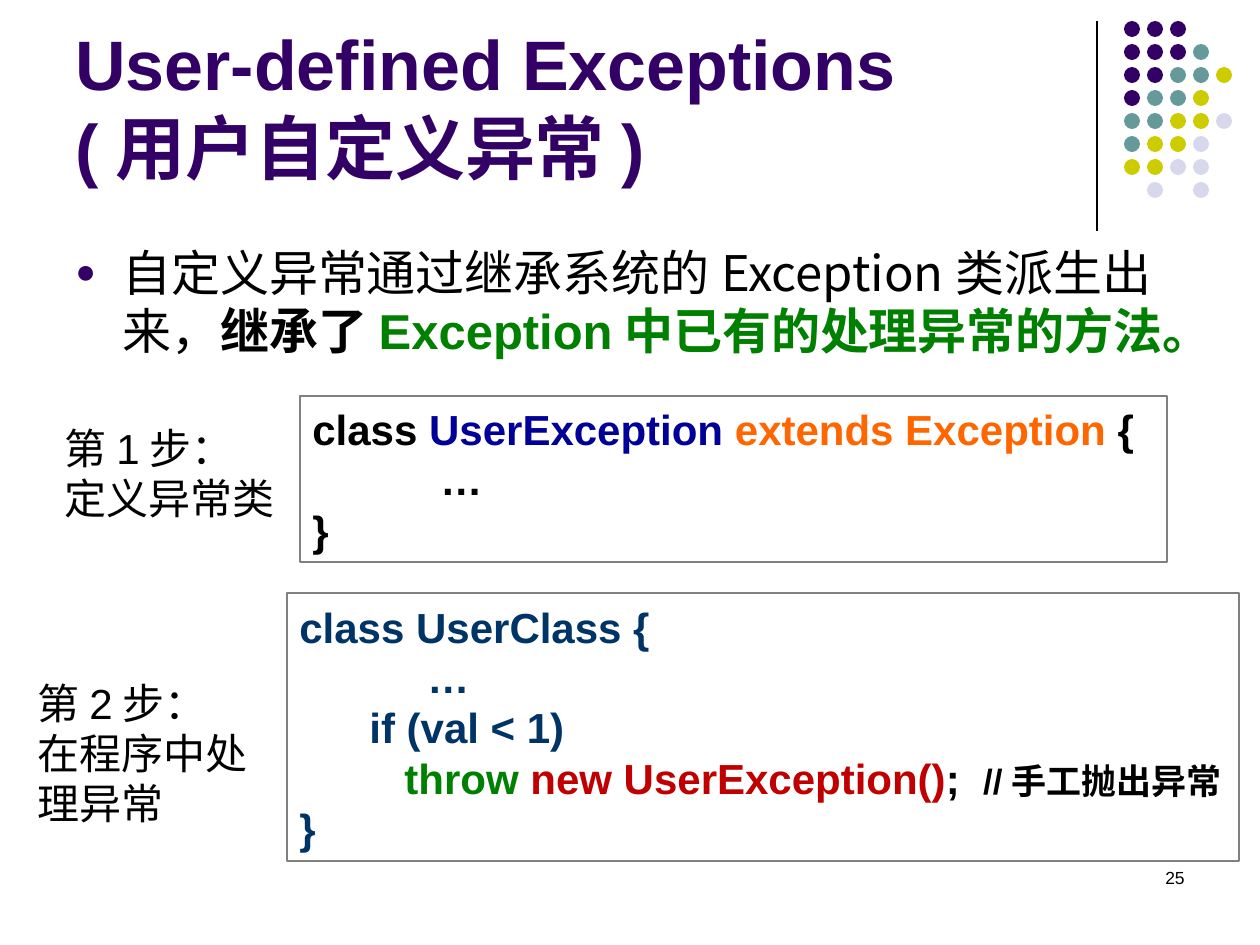
import pptx
import pptx.util
import pptx.dml.color
import pptx.enum.shapes
import pptx.enum.text
from lxml import etree

RGB = pptx.dml.color.RGBColor
BLACK = RGB(0x00, 0x00, 0x00)
GREY = RGB(0x80, 0x80, 0x80)
PURPLE = RGB(0x33, 0x00, 0x66)
TEAL = RGB(0x66, 0x99, 0x99)
OLIVE = RGB(0xCC, 0xCC, 0x00)
LAVENDER = RGB(0xD8, 0xD8, 0xEC)
GREEN = RGB(0x00, 0x80, 0x00)
NAVY = RGB(0x00, 0x33, 0x66)
BLUE = RGB(0x00, 0x00, 0x99)
ORANGE = RGB(0xFF, 0x66, 0x00)
RED = RGB(0xC0, 0x00, 0x00)

SANS = "Arial"
CJK = "Noto Sans CJK JP"
DOT_ROWS = ["PPP", "PPPT", "PPTTO", "PTTO", "TTOOL", "TOOL", "OOLL", " L L"]
DOT_COLORS = {"P": PURPLE, "T": TEAL, "O": OLIVE, "L": LAVENDER}


def px(n):
    """Turn pixels into EMU."""
    return pptx.util.Emu(n * 914400 // 126)


def add_child(parent, tag, **attrs):
    """Append a DrawingML element with the given attributes."""
    child = etree.SubElement(parent, pptx.oxml.ns.qn(tag))
    for name, value in attrs.items():
        child.set(name, value)
    return child


def set_indent(p, left, first=0):
    """Set the left margin and first-line indent of a paragraph."""
    pPr = p._p.get_or_add_pPr()
    pPr.set("marL", str(px(left)))
    pPr.set("indent", str(px(first)))


def set_bullet(p, color, percent):
    """Give a paragraph a round bullet."""
    pPr = p._p.get_or_add_pPr()
    clr = add_child(pPr, "a:buClr")
    add_child(clr, "a:srgbClr", val=str(color))
    add_child(pPr, "a:buSzPct", val=str(percent * 1000))
    add_child(pPr, "a:buFont", typeface=SANS)
    add_child(pPr, "a:buChar", char="●")


def style_font(font, size, color=None, bold=None, name=SANS):
    """Set the common properties of a font."""
    font.name = name
    font.size = pptx.util.Pt(size)
    font.bold = bold
    if color is not None:
        font.color.rgb = color


def add_text(s, box, lines, size, wrap=True):
    """Add a plain text box with one paragraph per line."""
    tf = s.shapes.add_textbox(*map(px, box)).text_frame
    tf.word_wrap = wrap
    for i, line in enumerate(lines):
        p = tf.add_paragraph() if i else tf.paragraphs[0]
        style_font(p.font, size, BLACK)
        p.add_run().text = line
    return tf


def add_title(s, box, lines):
    """Add the bottom-anchored title, broken into lines."""
    tf = s.shapes.add_textbox(*map(px, box)).text_frame
    tf.word_wrap = True
    tf.vertical_anchor = pptx.enum.text.MSO_ANCHOR.BOTTOM
    p = tf.paragraphs[0]
    style_font(p.font, 40, PURPLE, True)
    for i, line in enumerate(lines):
        if i:
            p.add_line_break()
        p.add_run().text = line


def add_body(s, box, runs):
    """Add the bulleted statement from (text, font, colour, bold) runs."""
    tf = s.shapes.add_textbox(*map(px, box)).text_frame
    tf.word_wrap = True
    p = tf.paragraphs[0]
    p.space_before = pptx.util.Pt(5.6)
    set_indent(p, 47, -47)
    set_bullet(p, PURPLE, 70)
    for text, name, color, bold in runs:
        r = p.add_run()
        r.text = text
        style_font(r.font, 28, color, bold, name)


def add_code(s, box, lines):
    """Add a framed listing from (indent, [(text, colour, size)]) lines."""
    sp = s.shapes.add_shape(pptx.enum.shapes.MSO_SHAPE.RECTANGLE, *map(px, box))
    sp.shadow.inherit = False
    sp.fill.background()
    sp.line.color.rgb = GREY
    sp.line.width = pptx.util.Pt(0.75)
    tf = sp.text_frame
    tf.word_wrap = True
    for i, (indent, runs) in enumerate(lines):
        p = tf.add_paragraph() if i else tf.paragraphs[0]
        p.alignment = pptx.enum.text.PP_ALIGN.LEFT
        set_indent(p, indent)
        for text, color, size in runs:
            r = p.add_run()
            r.text = text
            style_font(r.font, size, color, True)


def add_rule(s, x, top, bottom):
    """Add the thin vertical line beside the title."""
    kind = pptx.enum.shapes.MSO_CONNECTOR.STRAIGHT
    line = s.shapes.add_connector(kind, px(x), px(top), px(x), px(bottom))
    line.line.color.rgb = BLACK
    line.line.width = pptx.util.Pt(0.75)
    add_child(line._element.spPr, "a:effectLst")


def add_dots(s, left, top, pitch, size):
    """Add the grid of coloured dots."""
    for row, keys in enumerate(DOT_ROWS):
        for col, key in enumerate(keys):
            if key not in DOT_COLORS:
                continue
            box = (left + col * pitch, top + row * pitch, size, size)
            dot = s.shapes.add_shape(pptx.enum.shapes.MSO_SHAPE.OVAL, *map(px, box))
            dot.shadow.inherit = False
            dot.fill.solid()
            dot.fill.fore_color.rgb = DOT_COLORS[key]
            dot.line.fill.background()


def main():
    """Build the slide and save it."""
    prs = pptx.Presentation()
    prs.slide_width, prs.slide_height = px(1260), px(945)
    s = prs.slides.add_slide(prs.slide_layouts[6])
    add_rule(s, 1097, 21, 231)
    add_dots(s, 1124, 21, 23, 16)
    add_title(s, (63, 16, 1040, 179), ["User-defined Exceptions", "(用户自定义异常)"])
    add_body(s, (63, 236, 1134, 643), [
        ("自定义异常", CJK, BLACK, False),
        ("通过", SANS, BLACK, False),
        ("继承系统的Exception类", CJK, BLACK, False),
        ("派生出来，", SANS, BLACK, False),
        ("继承了", SANS, BLACK, True),
        ("Exception中已有的处理异常的方法。", SANS, GREEN, True),
    ])
    number = add_text(s, (903, 861, 294, 63), ["25"], 10)
    number.paragraphs[0].alignment = pptx.enum.text.PP_ALIGN.RIGHT
    add_code(s, (300, 396, 867, 166), [
        (0, [("class ", BLACK, 24), ("UserException", BLUE, 24),
             (" extends Exception ", ORANGE, 24), ("{", BLACK, 24)]),
        (128, [("…", BLACK, 24)]),
        (0, [("}", BLACK, 24)]),
    ])
    add_code(s, (287, 593, 952, 268), [
        (0, [("class UserClass {", NAVY, 24)]),
        (128, [("…", NAVY, 24)]),
        (70, [("if (val < 1)", NAVY, 24)]),
        (105, [("throw ", GREEN, 24), ("new UserException()", RED, 24),
               (";  ", BLACK, 24), ("//手工抛出异常", BLACK, 20)]),
        (0, [("}", NAVY, 24)]),
    ])
    add_text(s, (52, 416, 237, 115), ["第1步：", "定义异常类"], 24, wrap=False)
    add_text(s, (25, 671, 251, 165), ["第2步：", "在程序中处理异常"], 24)
    prs.save("out.pptx")


if __name__ == "__main__":
    main()
